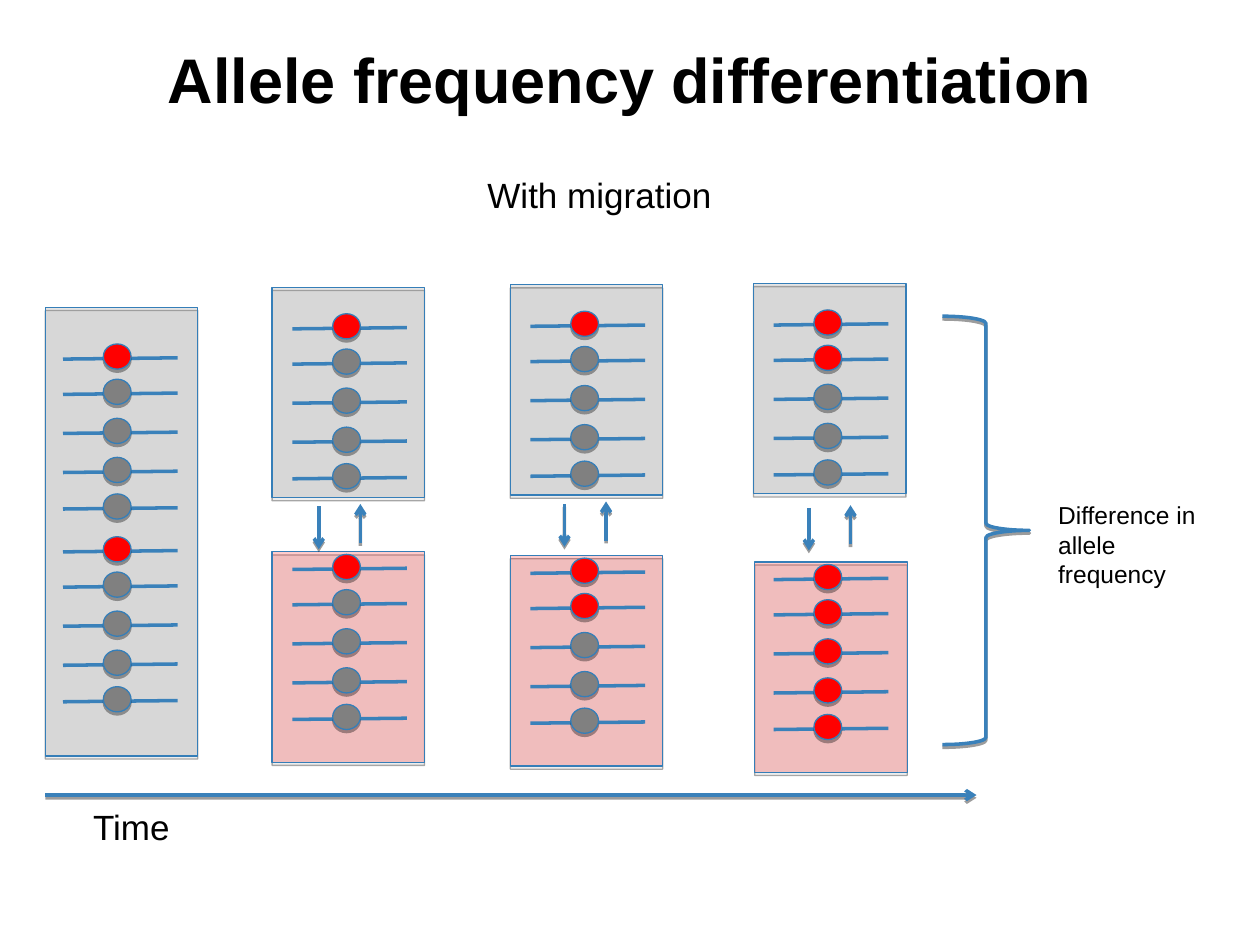
"""Build a slide on allele frequency differentiation with migration."""
from lxml.etree import SubElement
from pptx import Presentation
from pptx.dml.color import RGBColor
from pptx.enum.shapes import MSO_CONNECTOR, MSO_SHAPE
from pptx.enum.text import MSO_ANCHOR, MSO_AUTO_SIZE, PP_ALIGN
from pptx.oxml.ns import qn
from pptx.util import Inches, Pt

COLORS = {
    "gray": "808080",
    "red": "FF0000",
    "outline": "357EB8",
    "line": "3A81BA",
    "text": "000000",
}
COLORS = {name: RGBColor.from_string(value) for name, value in COLORS.items()}

deck = Presentation()
deck.slide_width, deck.slide_height = Inches(10), Inches(7.5)
page = deck.slides.add_slide(deck.slide_layouts[6])


def style_shape(shape, fill, color, width, opacity, distance):
    if fill:
        shape.fill.solid()
        shape.fill.fore_color.rgb = COLORS[fill]
    else:
        shape.fill.background()
    shape.line.color.rgb = COLORS[color]
    shape.line.width = Pt(width)
    shape.shadow.inherit = False
    effects = shape._element.spPr.find(qn("a:effectLst"))
    shadow = SubElement(effects, qn("a:outerShdw"), blurRad="0",
                        dist=str(Pt(distance)), dir="5400000", rotWithShape="0")
    black = SubElement(shadow, qn("a:srgbClr"), val="000000")
    SubElement(black, qn("a:alpha"), val=str(opacity * 1000))


def add_line(start_x, start_y, end_x, end_y, arrow=False):
    line = page.shapes.add_connector(
        MSO_CONNECTOR.STRAIGHT, Inches(start_x), Inches(start_y), Inches(end_x), Inches(end_y))
    line.line.color.rgb = COLORS["line"]
    line.line.width = Pt(2)
    properties = line._element.spPr
    effects = SubElement(properties, qn("a:effectLst"))
    if arrow:
        SubElement(properties.find(qn("a:ln")), qn("a:tailEnd"), type="arrow")
        shadow = SubElement(effects, qn("a:outerShdw"), blurRad="0",
                            dist=str(Pt(1.6)), dir="5400000", rotWithShape="0")
        black = SubElement(shadow, qn("a:srgbClr"), val="000000")
        SubElement(black, qn("a:alpha"), val="38000")


populations = [
    (5.98, 2.25, 1.67, "gray"),
    (4.05, 2.26, 1.67, "gray"),
    (2.16, 2.28, 1.67, "gray"),
    (2.16, 4.38, 1.67, "red"),
    (0.36, 2.44, 3.56, "gray"),
    (4.05, 4.41, 1.67, "red"),
    (5.99, 4.46, 1.67, "red"),
]
for left, top, height, fill in populations:
    box = page.shapes.add_shape(
        MSO_SHAPE.RECTANGLE, Inches(left), Inches(top), Inches(1.21), Inches(height))
    style_shape(box, fill, "outline", 0.75, 35, 1.8)
    fill_color = box._element.spPr.find(qn("a:solidFill"))[0]
    SubElement(fill_color, qn("a:alpha"), val="20000")

chromosome_groups = [
    (0.5, 2.73, 1),
    (0.5, 4.26, 1),
    (2.32, 2.49, 1),
    (2.32, 4.4, 1),
    (4.21, 2.47, 1),
    (4.21, 4.43, 2),
    (6.14, 2.46, 2),
    (6.14, 4.48, 5),
]
for left, top, red_count in chromosome_groups:
    for index, offset in enumerate((0, 0.28, 0.59, 0.9, 1.19)):
        y = top + offset
        add_line(left, y + 0.12, left + 0.91, y + 0.11)
        allele = page.shapes.add_shape(
            MSO_SHAPE.OVAL, Inches(left + 0.32), Inches(y), Inches(0.22), Inches(0.2))
        style_shape(allele, "red" if index < red_count else "gray", "outline", 0.75, 35, 1.8)

brace = page.shapes.add_shape(
    MSO_SHAPE.RIGHT_BRACE, Inches(7.48), Inches(2.51), Inches(0.69), Inches(3.4))
brace.adjustments[0] = 0.083
brace.adjustments[1] = 0.5
style_shape(brace, None, "line", 2, 38, 1.6)

for x, y in ((6.42, 4.03), (4.48, 4), (2.53, 4.02)):
    add_line(x, y, x, y + 0.34, arrow=True)
    add_line(x + 0.33, y + 0.29, x + 0.33, y - 0.02, arrow=True)
add_line(0.36, 6.31, 7.75, 6.31, arrow=True)

label_frame = {"word_wrap": False, "auto_size": MSO_AUTO_SIZE.SHAPE_TO_FIT_TEXT}
title_frame = {"word_wrap": True, "vertical_anchor": MSO_ANCHOR.MIDDLE,
               "margin_top": Inches(0.1), "margin_bottom": Inches(0.1)}
texts = [
    ((0.5, 0, 9, 1.25), ["Allele frequency differentiation"],
     title_frame, PP_ALIGN.CENTER, {"size": Pt(36), "bold": True}),
    ((3.77, 1.33, 1.98, 0.43), ["With migration"],
     label_frame, PP_ALIGN.LEFT, {"size": Pt(20)}),
    ((8.3, 3.92, 1.56, 0.57), ["Difference in", "allele frequency"],
     label_frame, PP_ALIGN.LEFT, {"size": Pt(14)}),
    ((0.64, 6.34, 0.81, 0.43), ["Time"],
     label_frame, PP_ALIGN.LEFT, {"size": Pt(20)}),
]
for bounds, lines, frame_format, alignment, font_format in texts:
    box = page.shapes.add_textbox(*map(Inches, bounds))
    frame = box.text_frame
    for name, value in frame_format.items():
        setattr(frame, name, value)
    frame.text = "\n".join(lines)
    for para in frame.paragraphs:
        para.alignment = alignment
        for span in para.runs:
            span.font.color.rgb = COLORS["text"]
            for name, value in {"name": "Arial", **font_format}.items():
                setattr(span.font, name, value)

deck.save("out.pptx")
